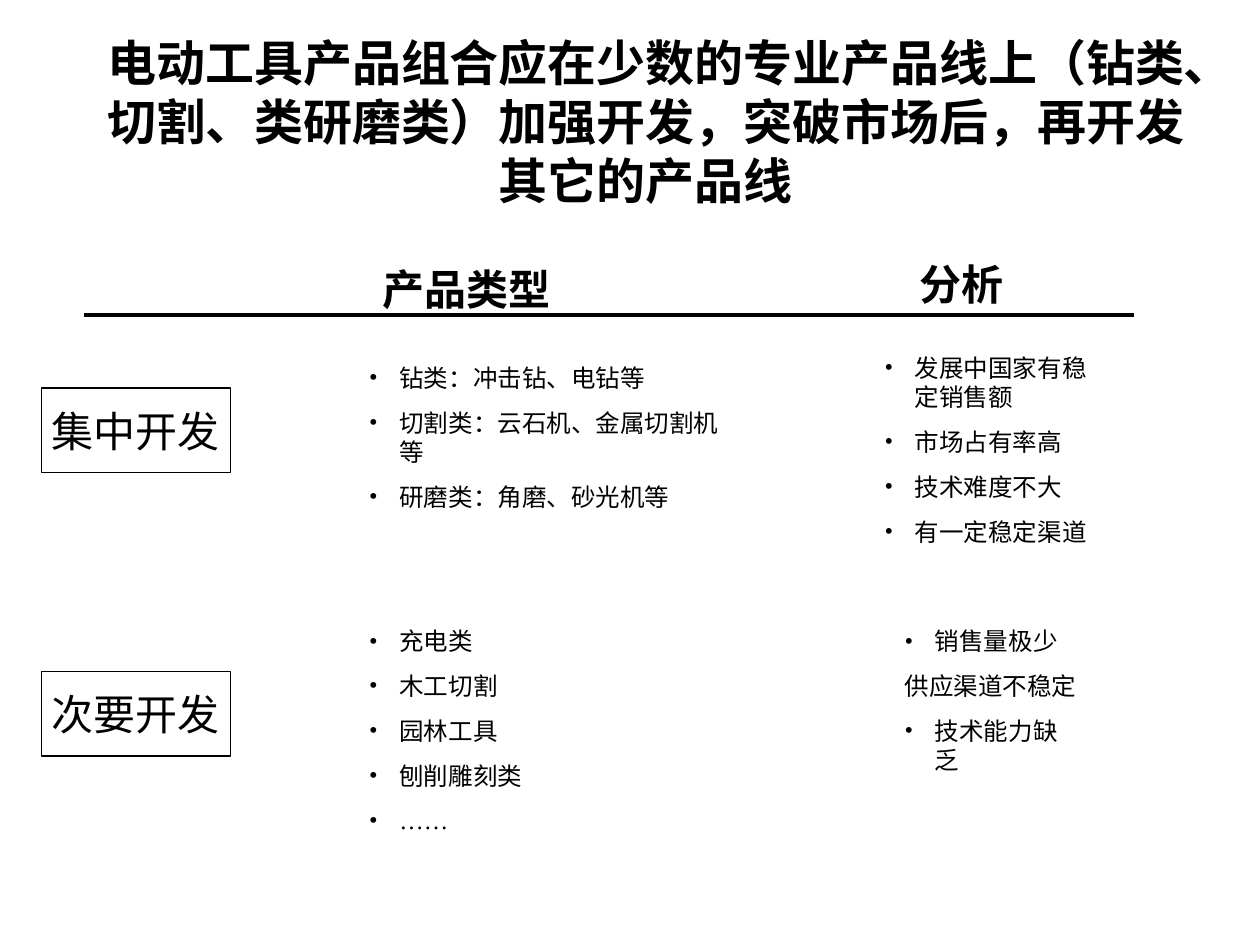
from lxml.etree import SubElement
from pptx import Presentation
from pptx.dml.color import RGBColor
from pptx.enum.shapes import MSO_CONNECTOR, MSO_SHAPE
from pptx.enum.text import MSO_ANCHOR, MSO_AUTO_SIZE, PP_ALIGN
from pptx.oxml.ns import qn
from pptx.util import Inches, Pt

BLACK = RGBColor(0, 0, 0)
WHITE = RGBColor(255, 255, 255)
FONT = "Times New Roman"
BULLET_INDENT = Inches(0.24)

TITLE = (
    "电动工具产品组合应在少数的专业产品线上（钻类、切割、类研磨类）"
    "加强开发，突破市场后，再开发其它的产品线"
)
HEADINGS = [
    ("产品类型", (2.83, 2.04, 1.75, 0.5)),
    ("分析", (6.92, 2, 1.42, 0.5)),
]
PRIORITIES = [("集中开发", 3.08), ("次要开发", 5.33)]
LISTS = [
    ((2.83, 2.83, 3.17, 1.05),
     ["钻类：冲击钻、电钻等", "切割类：云石机、金属切割机等", "研磨类：角磨、砂光机等"]),
    ((6.92, 2.75, 1.92, 1.64),
     ["发展中国家有稳定销售额", "市场占有率高", "技术难度不大", "有一定稳定渠道"]),
    ((2.83, 4.92, 1.58, 1.76),
     ["充电类", "木工切割", "园林工具", "刨削雕刻类", "……"]),
    ((7.08, 4.92, 1.58, 1.4),
     ["销售量极少", "供应渠道不稳定", "技术能力缺乏"]),
]
UNBULLETED = {"供应渠道不稳定"}


def place(shape, area):
    """Move and size a shape to an area in inches."""
    shape.left, shape.top, shape.width, shape.height = map(Inches, area)


def write(shape, lines, size, bold=False, align=PP_ALIGN.CENTER,
          anchor=MSO_ANCHOR.MIDDLE, wrap=True):
    """Fill a shape with formatted paragraphs."""
    frame = shape.text_frame
    frame.text = "\n".join(lines)
    frame.word_wrap = wrap
    frame.auto_size = MSO_AUTO_SIZE.NONE
    frame.vertical_anchor = anchor
    for para in frame.paragraphs:
        para.alignment = align
        para.space_before = Pt(0)
        for span in para.runs:
            span.font.name = FONT
            span.font.size = Pt(size)
            span.font.bold = bold
            span.font.color.rgb = BLACK


def set_bullet(para, bulleted):
    """Give a paragraph a hanging black bullet, or none."""
    properties = para._p.get_or_add_pPr()
    indent = BULLET_INDENT if bulleted else 0
    properties.set("marL", str(indent))
    properties.set("indent", str(-indent))
    if bulleted:
        color = SubElement(properties, qn("a:buClr"))
        SubElement(color, qn("a:srgbClr"), val=str(BLACK))
        SubElement(properties, qn("a:buFont"), typeface=FONT)
        SubElement(properties, qn("a:buChar"), char="•")
    else:
        SubElement(properties, qn("a:buNone"))


def fill_list(body, area, items):
    """Turn a body placeholder into a placed list."""
    place(body, area)
    write(body, items, 14, align=PP_ALIGN.LEFT, anchor=MSO_ANCHOR.TOP)
    for number, para in enumerate(body.text_frame.paragraphs):
        set_bullet(para, para.text not in UNBULLETED)
        if number:
            para.space_before = Pt(8.8)


def add_heading(page, text, area):
    """Add a bold column heading."""
    box = page.shapes.add_textbox(*map(Inches, area))
    write(box, [text], 24, bold=True, anchor=MSO_ANCHOR.TOP)


def add_priority(page, text, top):
    """Add an outlined row label."""
    box = page.shapes.add_shape(
        MSO_SHAPE.RECTANGLE, Inches(0.33), Inches(top), Inches(1.5), Inches(0.67))
    box.shadow.inherit = False
    box.fill.solid()
    box.fill.fore_color.rgb = WHITE
    box.line.color.rgb = BLACK
    box.line.width = Pt(1)
    write(box, [text], 24, wrap=False)


def add_rule(page):
    """Draw the line below the column headings."""
    rule = page.shapes.add_connector(
        MSO_CONNECTOR.STRAIGHT, Inches(0.67), Inches(2.5), Inches(9), Inches(2.5))
    rule.line.color.rgb = BLACK
    rule.line.width = Pt(2)
    SubElement(rule._element.spPr, qn("a:effectLst"))


def main():
    """Build and save the slide."""
    deck = Presentation()
    deck.slide_width, deck.slide_height = Inches(10), Inches(7.5)
    page = deck.slides.add_slide(deck.slide_layouts.get_by_name("Comparison"))
    title, *bodies = page.placeholders
    place(title, (0.75, 0.67, 8.75, 0.58))
    write(title, [TITLE], 28, bold=True)
    for body, (area, items) in zip(bodies, LISTS):
        fill_list(body, area, items)
    for text, area in HEADINGS:
        add_heading(page, text, area)
    for text, top in PRIORITIES:
        add_priority(page, text, top)
    add_rule(page)
    deck.save("out.pptx")


if __name__ == "__main__":
    main()
